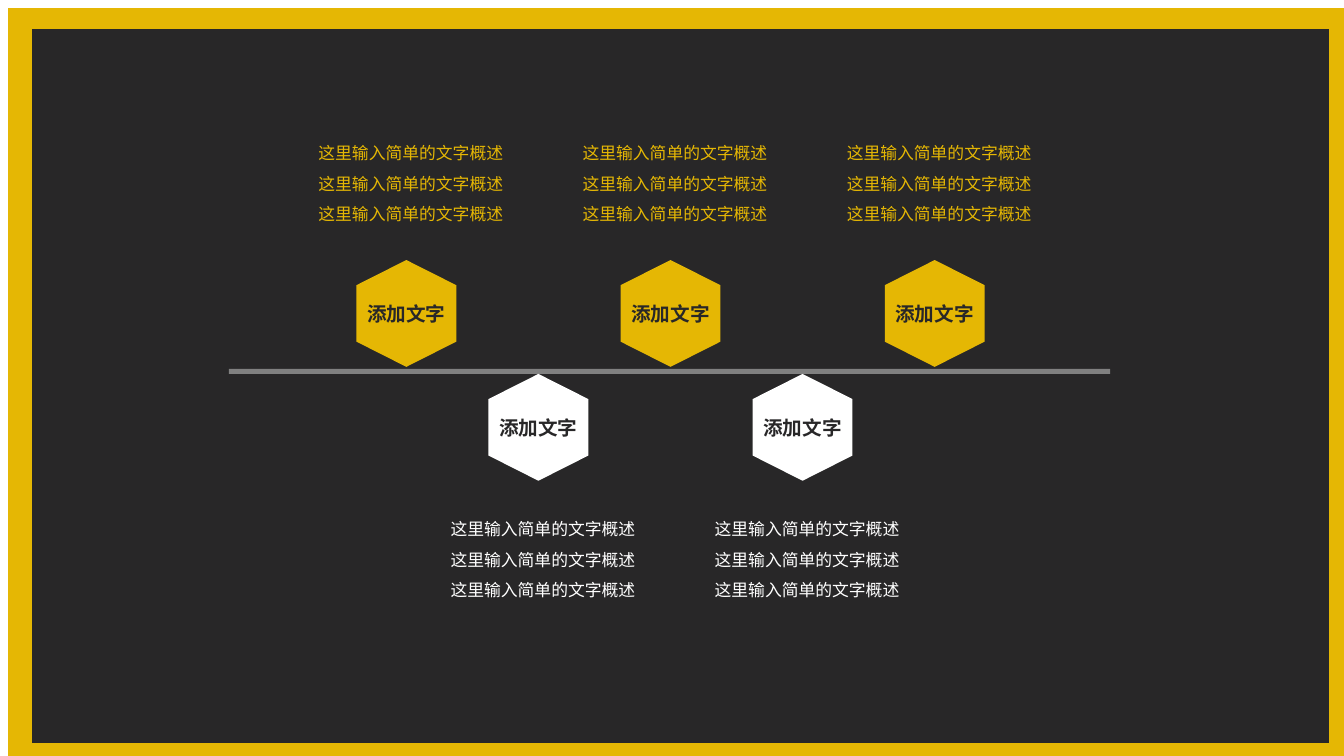
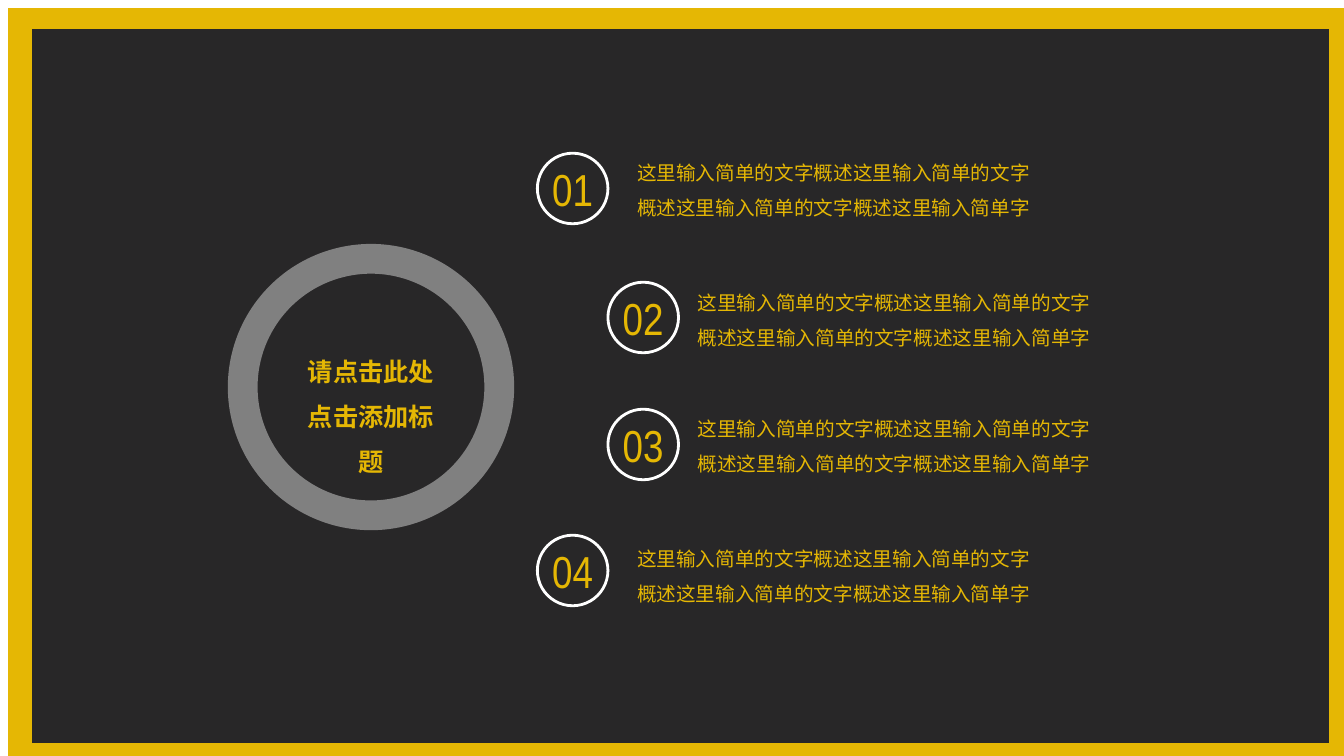
import pptx
import pptx.dml.color
import pptx.enum.shapes
import pptx.enum.text
import pptx.oxml.xmlchemy
import pptx.util

Inches = pptx.util.Inches
Shape = pptx.enum.shapes.MSO_SHAPE
Align = pptx.enum.text.PP_ALIGN
Anchor = pptx.enum.text.MSO_ANCHOR
RGBColor = pptx.dml.color.RGBColor

GOLD = RGBColor(0xE5, 0xB7, 0x04)
DARK = RGBColor(0x28, 0x27, 0x28)
GREY = RGBColor(0x80, 0x80, 0x80)
WHITE = RGBColor(0xFF, 0xFF, 0xFF)
CJK_FONT = "Noto Sans CJK SC"
NUMBER_FONT = "Arial Narrow"
PHRASE = "这里输入简单的文字概述"
ZERO_MARGINS = dict.fromkeys(("margin_left", "margin_top", "margin_right", "margin_bottom"), 0)


def write(box, lines, size, color, font=CJK_FONT, bold=False,
          align=Align.LEFT, spacing=1.0, **frame_format):
    """Fill a box with one paragraph per line."""
    frame = box.text_frame
    for name, value in {"word_wrap": True, **frame_format}.items():
        setattr(frame, name, value)
    for index, line in enumerate(lines):
        para = frame.add_paragraph() if index else frame.paragraphs[0]
        para.alignment, para.line_spacing = align, spacing
        span = para.add_run()
        span.text = line
        for name, value in {"size": pptx.util.Pt(size), "bold": bold, "name": font}.items():
            setattr(span.font, name, value)
        span.font.color.rgb = color
        east_asian = pptx.oxml.xmlchemy.OxmlElement("a:ea")
        east_asian.set("typeface", font)
        span.font._element.append(east_asian)


def paint(shape, fill=None, line=None):
    """Set a flat fill and an outline, or neither."""
    shape.shadow.inherit = False
    if fill is None:
        shape.fill.background()
    else:
        shape.fill.solid()
        shape.fill.fore_color.rgb = fill
    if line is None:
        shape.line.fill.background()
    else:
        shape.line.color.rgb = line
        shape.line.width = pptx.util.Pt(2)


deck = pptx.Presentation()
deck.slide_width, deck.slide_height = Inches(13.33), Inches(7.5)
timeline_page = deck.slides.add_slide(deck.slide_layouts.get_by_name("Blank"))
list_page = deck.slides.add_slide(deck.slide_layouts.get_by_name("Title Only"))

# Shared frame: drawn once, then moved to the back of the master
frame_parts = [
    (0.08, 0.08, 13.25, 7.42, GOLD),
    (0.32, 0.29, 12.86, 7.08, DARK),
]
for index, (left, top, width, height, color) in enumerate(frame_parts):
    panel = timeline_page.shapes.add_shape(
        Shape.RECTANGLE, Inches(left), Inches(top), Inches(width), Inches(height))
    paint(panel, color)
    panel.element.nvSpPr.cNvPr.set("id", str(100 + index))
    deck.slide_master.shapes.element.insert(2 + index, panel.element)

# Timeline bar
bar = timeline_page.shapes.add_shape(
    Shape.RECTANGLE, Inches(2.27), Inches(3.66), Inches(8.74), Inches(0.05))
paint(bar, GREY)

# Hexagons alternate above and below the bar, each with a caption
HALF_WIDTH, HEIGHT, SHOULDER = 0.495, 1.06, 0.25
for index in range(5):
    center = 4.03 + 1.31 * index
    if index % 2 == 0:
        top, caption_top, color = 2.58, 1.27, GOLD
    else:
        top, caption_top, color = 3.71, 5, WHITE
    left, right = center - HALF_WIDTH, center + HALF_WIDTH
    upper, lower, bottom = top + SHOULDER, top + HEIGHT - SHOULDER, top + HEIGHT
    corners = [(center, top), (right, upper), (right, lower),
               (center, bottom), (left, lower), (left, upper)]
    points = [(Inches(x), Inches(y)) for x, y in corners]
    outline = timeline_page.shapes.build_freeform(*points[0])
    outline.add_line_segments(points[1:], close=True)
    hexagon = outline.convert_to_shape()
    paint(hexagon, color)
    write(hexagon, ["添加文字"], 14, DARK, bold=True, align=Align.CENTER,
          vertical_anchor=Anchor.MIDDLE, **ZERO_MARGINS)
    caption = timeline_page.shapes.add_textbox(
        Inches(center - 1.05), Inches(caption_top), Inches(2.11), Inches(1.01))
    write(caption, [PHRASE] * 3, 12, color, align=Align.RIGHT, spacing=1.5)

# Ring with the title inside
ring = list_page.shapes.add_shape(
    Shape.DONUT, Inches(2.26), Inches(2.42), Inches(2.84), Inches(2.84))
ring.adjustments[0] = 0.104
paint(ring, GREY)
title = list_page.shapes.title
title.left, title.top = Inches(2.83), Inches(3.33)
title.width, title.height = Inches(1.7), Inches(1.01)
write(title, ["请点击此处", "点击添加标题"], 18, GOLD, bold=True, align=Align.CENTER,
      spacing=1.5, vertical_anchor=Anchor.TOP, auto_size=pptx.enum.text.MSO_AUTO_SIZE.NONE)

# Numbered items curve around the ring
items = [
    (5.33, 1.52, 6.22, 1.45),
    (6.03, 2.8, 6.82, 2.74),
    (6.03, 4.06, 6.82, 3.99),
    (5.33, 5.31, 6.22, 5.28),
]
for number, (circle_left, circle_top, text_left, text_top) in enumerate(items, 1):
    circle = list_page.shapes.add_shape(
        Shape.OVAL, Inches(circle_left), Inches(circle_top), Inches(0.7), Inches(0.7))
    paint(circle, line=WHITE)
    write(circle, [f"{number:02}"], 32, GOLD, font=NUMBER_FONT, align=Align.CENTER,
          vertical_anchor=Anchor.MIDDLE, **{**ZERO_MARGINS, "word_wrap": False})
    description = list_page.shapes.add_textbox(
        Inches(text_left), Inches(text_top), Inches(4.19), Inches(0.75))
    write(description, [PHRASE * 3 + "这里输入简单字"], 14, GOLD, spacing=1.5,
          vertical_anchor=Anchor.MIDDLE)

deck.save("out.pptx")
